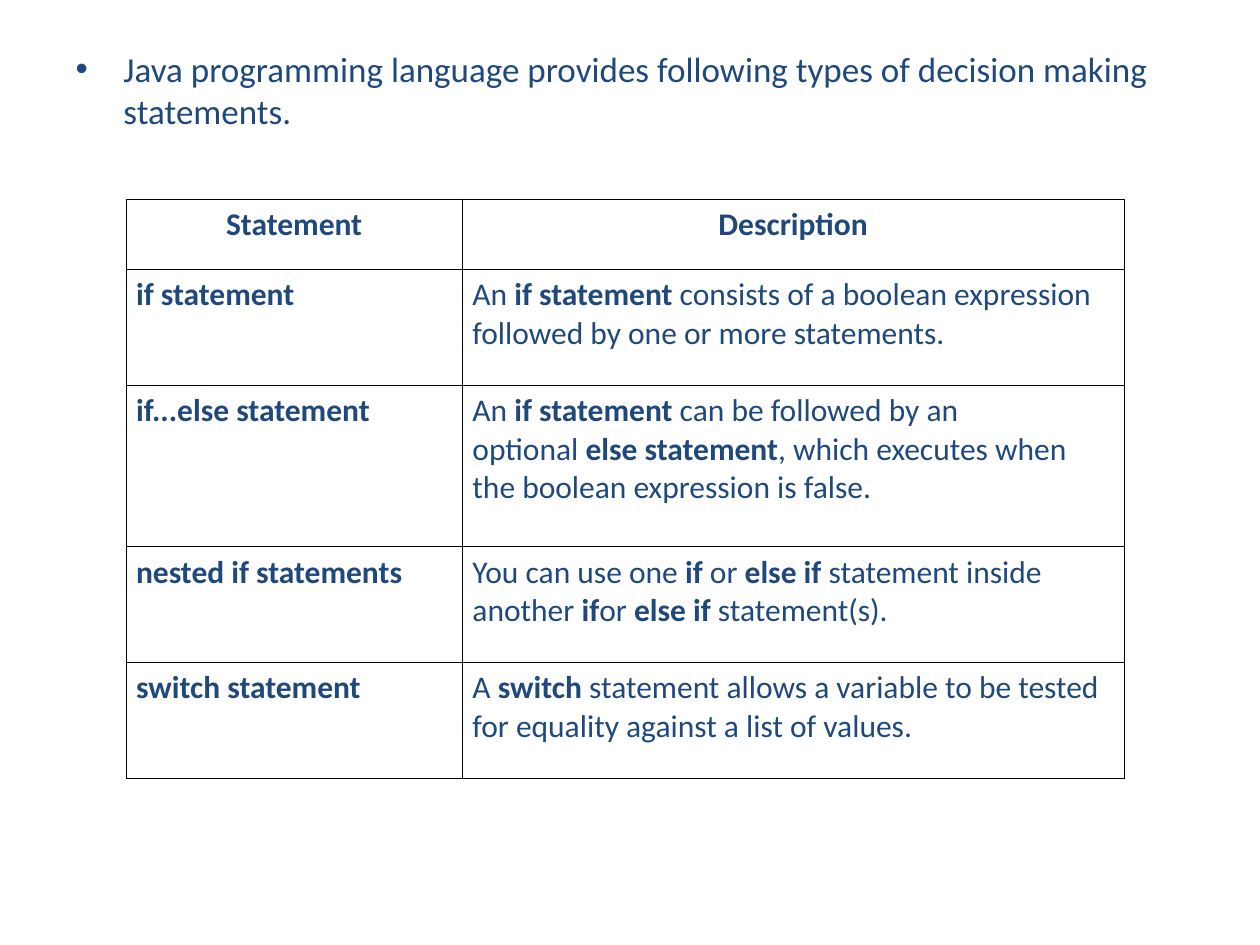
from lxml.etree import SubElement
from pptx import Presentation
from pptx.dml.color import RGBColor
from pptx.enum.text import PP_ALIGN
from pptx.oxml.ns import qn
from pptx.util import Inches, Pt

NAVY = RGBColor(0x1F, 0x49, 0x7D)
BLACK = RGBColor(0x00, 0x00, 0x00)
FONT = "Calibri"
NBSP = chr(160)
BULLET = "Java programming language provides following types of decision making statements."
HEADER = ("Statement", "Description")
STATEMENTS = [
    ("if statement",
     "An *if statement* consists of a boolean expression followed by one or more statements."),
    ("if...else statement",
     "An *if statement* can be followed by an optional *else statement*, "
     "which executes when the boolean expression is false."),
    ("nested if statements",
     "You can use one *if* or *else if* statement inside another *if*or *else if* statement(s)."),
    ("switch statement",
     "A *switch* statement allows a variable to be tested for equality against a list of values."),
]
COL_WIDTHS = (2.67, 5.25)
ROW_HEIGHTS = (0.56, 0.92, 1.28, 0.92, 0.92)


def add_run(p, text, size, bold=False):
    r = p.add_run()
    r.text = text
    r.font.name = FONT
    r.font.size = Pt(size)
    r.font.bold = bold
    r.font.color.rgb = NAVY


def add_marked_text(p, text, size):
    text = text.replace(" *", NBSP + "*").replace("* ", "*" + NBSP)
    for i, part in enumerate(text.split("*")):
        if part:
            add_run(p, part, size, bold=i % 2 == 1)


def set_solid_color(parent, tag, color):
    holder = SubElement(parent, qn(tag))
    SubElement(holder, qn("a:srgbClr"), val=str(color))


def fill_body(body):
    body.left, body.top = Inches(0.5), Inches(0.33)
    body.width, body.height = Inches(9), Inches(6.37)
    p = body.text_frame.paragraphs[0]
    p.space_before = Pt(5)
    pPr = p._p.get_or_add_pPr()
    pPr.set("marL", str(Inches(0.38)))
    pPr.set("indent", str(-Inches(0.38)))
    set_solid_color(pPr, "a:buClr", NAVY)
    SubElement(pPr, qn("a:buChar"), char="•")
    add_run(p, BULLET, 20)


def style_cell(cell):
    tcPr = cell._tc.get_or_add_tcPr()
    for side in ("L", "R", "T", "B"):
        ln = SubElement(tcPr, qn(f"a:ln{side}"), w=str(Pt(0.45)))
        set_solid_color(ln, "a:solidFill", BLACK)
    cell.fill.background()
    cell.margin_left = cell.margin_right = Inches(0.08)
    cell.margin_top = cell.margin_bottom = Inches(0.05)


def fill_cell(cell, text, align):
    style_cell(cell)
    p = cell.text_frame.paragraphs[0]
    p.alignment = align
    add_marked_text(p, text, 18)


def add_statement_table(s):
    frame = s.shapes.add_table(len(ROW_HEIGHTS), len(COL_WIDTHS), Inches(1), Inches(1.58),
                               Inches(sum(COL_WIDTHS)), Inches(sum(ROW_HEIGHTS)))
    table = frame.table
    table.first_row = table.horz_banding = False
    for column, width in zip(table.columns, COL_WIDTHS):
        column.width = Inches(width)
    for row, height in zip(table.rows, ROW_HEIGHTS):
        row.height = Inches(height)
    for col, heading in enumerate(HEADER):
        fill_cell(table.cell(0, col), f"*{heading}*", PP_ALIGN.CENTER)
    for row, (name, description) in enumerate(STATEMENTS, start=1):
        fill_cell(table.cell(row, 0), f"*{name}*", PP_ALIGN.JUSTIFY)
        fill_cell(table.cell(row, 1), description, PP_ALIGN.LEFT)


def main():
    prs = Presentation()
    prs.slide_width, prs.slide_height = Inches(10), Inches(7.5)
    s = prs.slides.add_slide(prs.slide_layouts[1])
    title = s.shapes.title
    title._element.getparent().remove(title._element)
    fill_body(s.placeholders[1])
    add_statement_table(s)
    prs.save("out.pptx")


if __name__ == "__main__":
    main()
